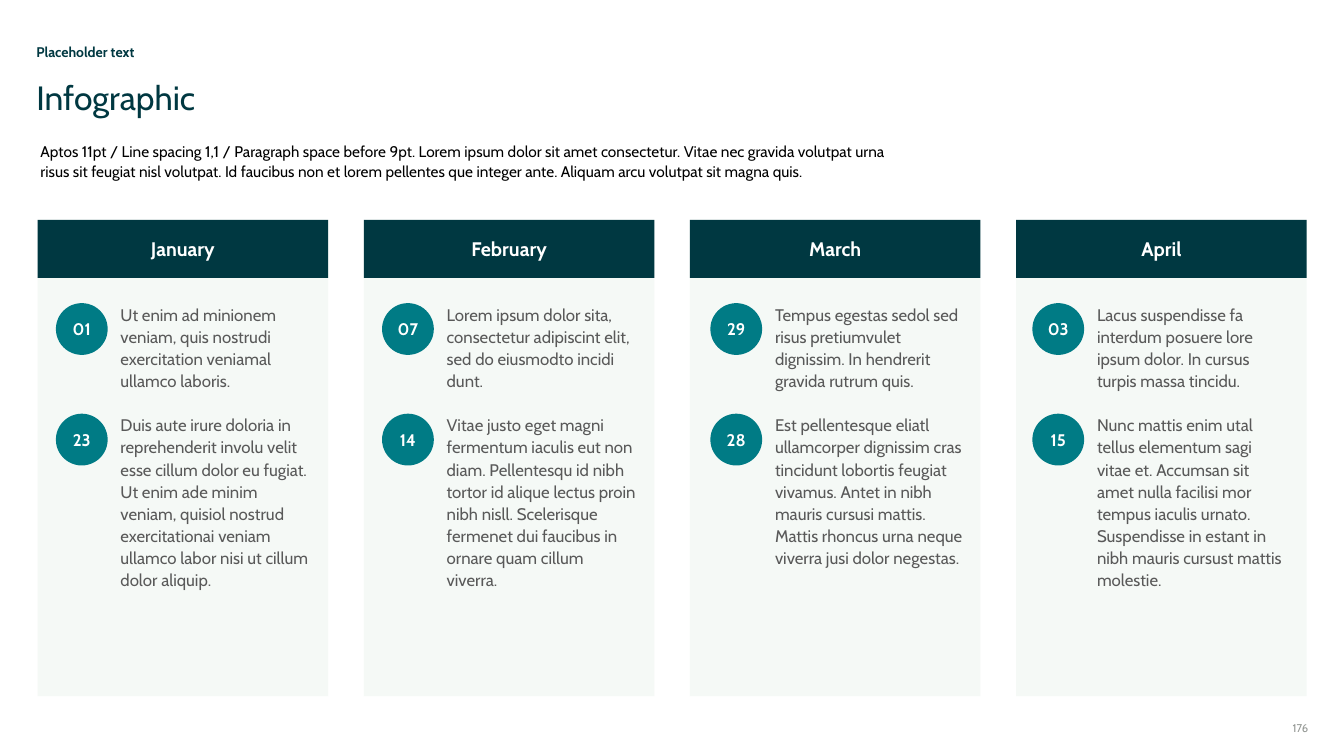
"""Build a four-month infographic slide with numbered dates."""
from pptx import Presentation
from pptx.dml.color import RGBColor
from pptx.enum.shapes import MSO_SHAPE
from pptx.enum.text import MSO_ANCHOR, PP_ALIGN
from pptx.util import Pt

EYEBROW = "Placeholder text"
TITLE = "Infographic"
INTRO = (
    "Aptos 11pt / Line spacing 1,1 / Paragraph space before 9pt. Lorem ipsum dolor sit amet "
    "consectetur. Vitae nec gravida volutpat urna risus sit feugiat nisl volutpat. Id faucibus "
    "non et lorem pellentes que integer ante. Aliquam arcu volutpat sit magna quis."
)
PAGE_NUMBER = "176"
MONTHS = [
    ("January", 13, [
        ("01", "Ut enim ad minionem veniam, quis nostrudi exercitation veniamal ullamco laboris."),
        ("23", "Duis aute irure doloria in reprehenderit involu velit esse cillum dolor eu fugiat. "
               "Ut enim ade minim veniam, quisiol nostrud exercitationai veniam ullamco labor nisi "
               "ut cillum dolor aliquip."),
    ]),
    ("February", 13, [
        ("07", "Lorem ipsum dolor sita, consectetur adipiscint elit, sed do eiusmodto incidi dunt."),
        ("14", "Vitae justo eget magni fermentum iaculis eut non diam. Pellentesqu id nibh tortor "
               "id alique lectus proin nibh nisll. Scelerisque fermenet dui faucibus in ornare "
               "quam cillum viverra."),
    ]),
    ("March", 14.5, [
        ("29", "Tempus egestas sedol sed risus pretiumvulet dignissim. In hendrerit gravida "
               "rutrum quis."),
        ("28", "Est pellentesque eliatl ullamcorper dignissim cras tincidunt lobortis feugiat "
               "vivamus. Antet in nibh mauris cursusi mattis. Mattis rhoncus urna neque viverra "
               "jusi dolor negestas."),
    ]),
    ("April", 11.5, [
        ("03", "Lacus suspendisse fa interdum posuere lore ipsum dolor. In cursus turpis massa "
               "tincidu."),
        ("15", "Nunc mattis enim utal tellus elementum sagi vitae et. Accumsan sit amet nulla "
               "facilisi mor tempus iaculis urnato. Suspendisse in estant in nibh mauris cursust "
               "mattis molestie."),
    ]),
]
DARK, TEAL, PALE, GRAY, WHITE = "003841", "007B85", "F5F9F6", "595959", "FFFFFF"
MARGIN, CONTENT_WIDTH = 26, 908
COLUMN_LEFT, COLUMN_PITCH, COLUMN_WIDTH = 26.9, 233, 207.5
COLUMN_TOP, COLUMN_HEIGHT, HEADER_HEIGHT = 157, 340.2, 41.5
ENTRY_TOP, ENTRY_PITCH, CIRCLE = 216.5, 79, 37
NOTE_OFFSET, NOTE_WIDTH, NOTE_HEIGHTS = 46.2, 136, (63.5, 127.5)


def color(value):
    """Turn a hex string into a colour."""
    return RGBColor.from_string(value)


def write(shape, text, size, ink, bold=False, align=PP_ALIGN.LEFT,
          anchor=MSO_ANCHOR.TOP, spacing=1.0, inset=0):
    """Put one formatted paragraph into a shape."""
    frame = shape.text_frame
    frame_format = {"word_wrap": True, "vertical_anchor": anchor, "margin_left": Pt(inset),
                    "margin_right": 0, "margin_top": 0, "margin_bottom": 0}
    for name, value in frame_format.items():
        setattr(frame, name, value)
    paragraph = frame.paragraphs[0]
    paragraph.text = text
    for name, value in {"alignment": align, "line_spacing": spacing}.items():
        setattr(paragraph, name, value)
    font = paragraph.runs[0].font
    for name, value in {"name": "Cabin", "size": Pt(size), "bold": bold}.items():
        setattr(font, name, value)
    font.color.rgb = color(ink)


def add_text(slide, box, text, size, ink, **options):
    """Add a text box."""
    write(slide.shapes.add_textbox(*map(Pt, box)), text, size, ink, **options)


def add_block(slide, kind, box, fill, label="", size=12):
    """Add a filled shape, with a centred bold label if one is given."""
    shape = slide.shapes.add_shape(kind, *map(Pt, box))
    shape.shadow.inherit = False
    shape.fill.solid()
    shape.fill.fore_color.rgb = color(fill)
    shape.line.fill.background()
    if label:
        write(shape, label, size, WHITE, bold=True, align=PP_ALIGN.CENTER,
              anchor=MSO_ANCHOR.MIDDLE)


def add_month(slide, left, month, indent, entries):
    """Add one month column with its dated notes."""
    add_block(slide, MSO_SHAPE.RECTANGLE, (left, COLUMN_TOP, COLUMN_WIDTH, COLUMN_HEIGHT), PALE)
    add_block(slide, MSO_SHAPE.RECTANGLE, (left, COLUMN_TOP, COLUMN_WIDTH, HEADER_HEIGHT),
              DARK, month, 14)
    for row, (day, note) in enumerate(entries):
        top = ENTRY_TOP + row * ENTRY_PITCH
        circle_left = left + indent
        add_block(slide, MSO_SHAPE.OVAL, (circle_left, top, CIRCLE, CIRCLE), TEAL, day)
        add_text(slide, (circle_left + NOTE_OFFSET, top - 0.5, NOTE_WIDTH, NOTE_HEIGHTS[row]),
                 note, 12, GRAY, spacing=1.1)


def main():
    """Create and save the slide."""
    presentation = Presentation()
    presentation.slide_width, presentation.slide_height = Pt(960), Pt(540)
    slide = presentation.slides.add_slide(presentation.slide_layouts[6])
    add_text(slide, (MARGIN, 32.2, CONTENT_WIDTH, 11), EYEBROW, 10, DARK, bold=True, spacing=0.9)
    add_text(slide, (MARGIN, 58.2, CONTENT_WIDTH, 26.5), TITLE, 24, DARK, spacing=0.9)
    add_text(slide, (MARGIN, 100, 625, 29), INTRO, 11, "000000", spacing=1.1, inset=2.9)
    for column, (month, indent, entries) in enumerate(MONTHS):
        add_month(slide, COLUMN_LEFT + column * COLUMN_PITCH, month, indent, entries)
    add_text(slide, (880.5, 515.5, 54, 11), PAGE_NUMBER, 8, "939793", align=PP_ALIGN.RIGHT)
    presentation.save("out.pptx")


if __name__ == "__main__":
    main()
